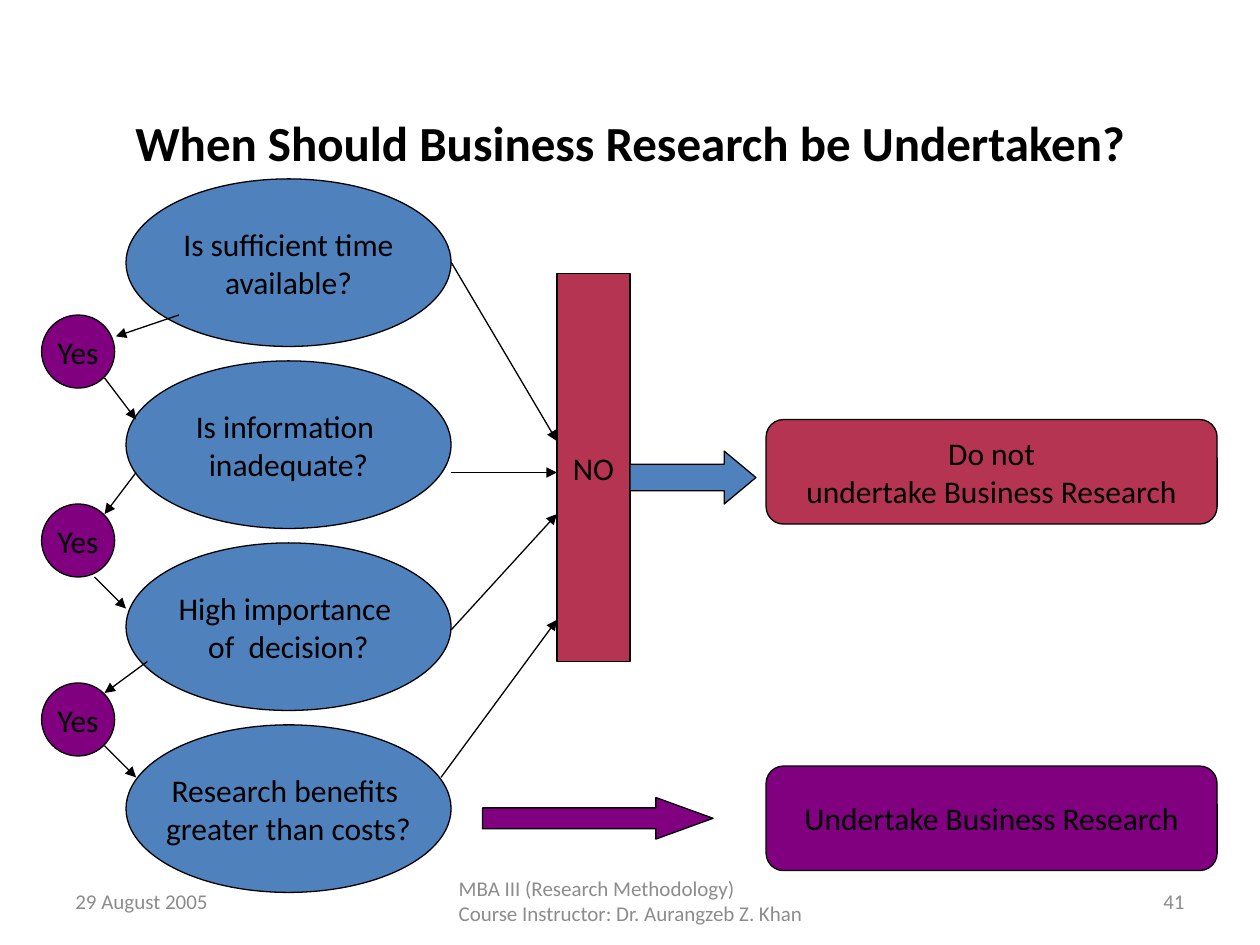
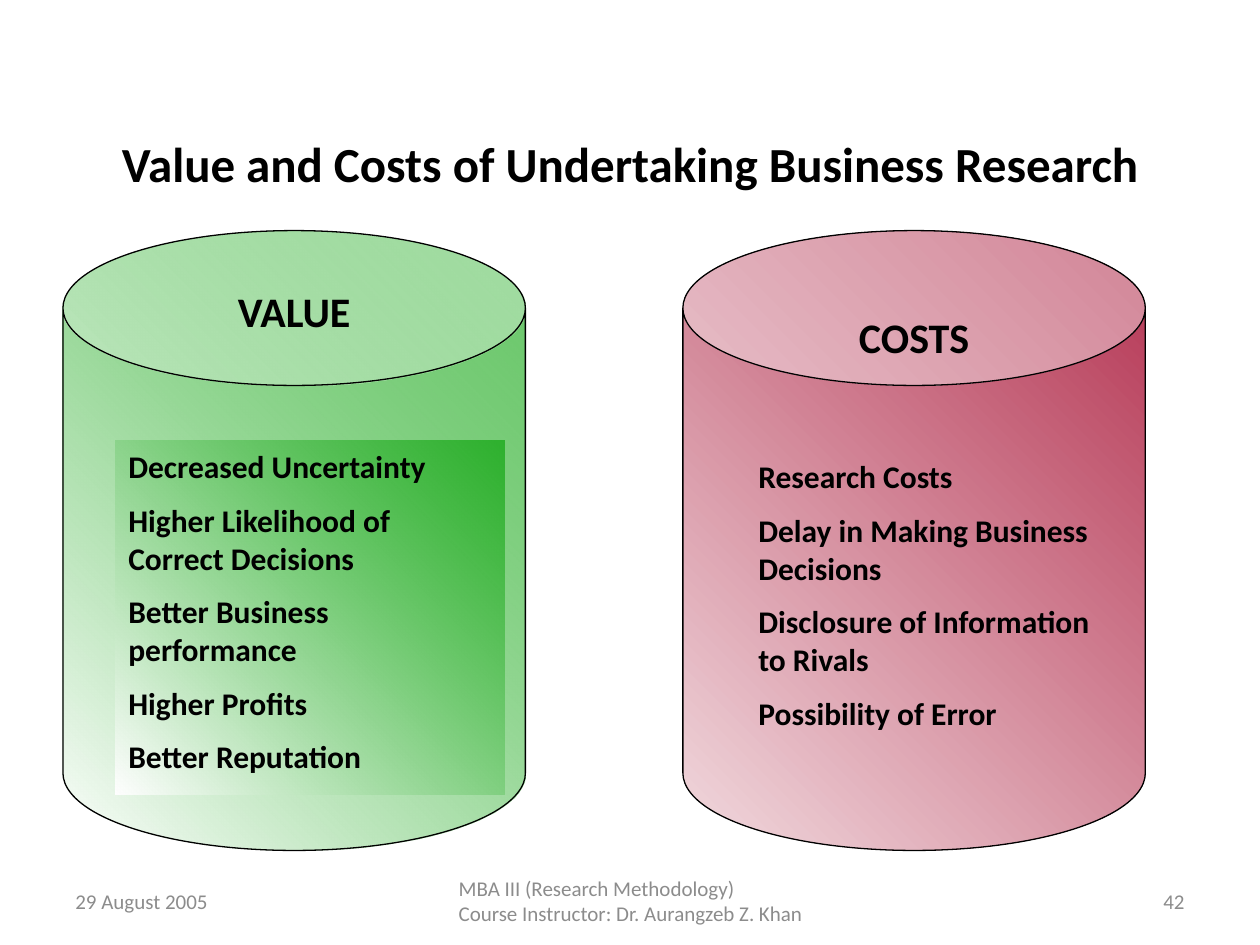
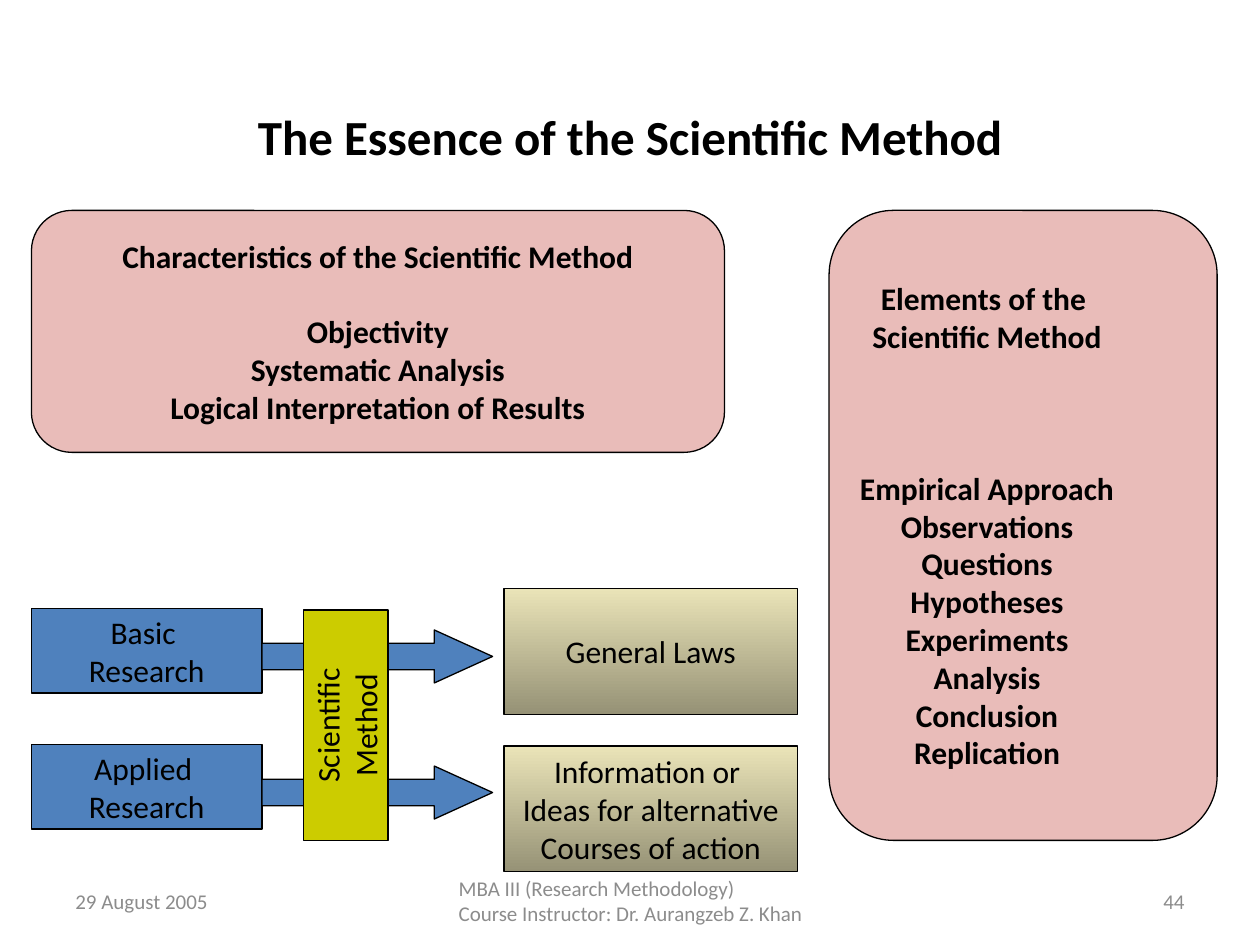
from dataclasses import dataclass, field

from lxml import etree
from pptx import Presentation
from pptx.dml.color import RGBColor
from pptx.enum.shapes import MSO_CONNECTOR, MSO_SHAPE
from pptx.enum.text import MSO_ANCHOR, PP_ALIGN
from pptx.oxml.ns import qn
from pptx.shapes.autoshape import Shape
from pptx.slide import Slide
from pptx.text.text import TextFrame
from pptx.util import Inches, Pt

LEFT, CENTER, RIGHT = PP_ALIGN.LEFT, PP_ALIGN.CENTER, PP_ALIGN.RIGHT
TOP, MIDDLE = MSO_ANCHOR.TOP, MSO_ANCHOR.MIDDLE
RECT, ROUND, OVAL = MSO_SHAPE.RECTANGLE, MSO_SHAPE.ROUNDED_RECTANGLE, MSO_SHAPE.OVAL
ARROW, CAN = MSO_SHAPE.RIGHT_ARROW, MSO_SHAPE.CAN
STRAIGHT = MSO_CONNECTOR.STRAIGHT


@dataclass(frozen=True)
class Gradient:
    start: str
    end: str
    angle: int
    end_alpha: int = 100


@dataclass(frozen=True)
class Theme:
    font: str = "Calibri"
    ink: str = "000000"
    muted: str = "8C8C8C"
    blue: str = "4F81BD"
    purple: str = "800080"
    red: str = "B43452"
    pink: str = "E9BCB9"
    yellow: str = "CCCC00"
    green_fade: Gradient = Gradient("FFFFFF", "00A000", 45, 61)
    red_fade: Gradient = Gradient("F1D9DE", "B43452", 45)
    sand_fade: Gradient = Gradient("EAE4B8", "969276", 270)
    title: int = 28
    heading: int = 24
    body: int = 18
    footer: int = 12
    outline: float = 0.75


T = Theme()
Box = tuple[float, float, float, float]
Point = tuple[float, float]


@dataclass(frozen=True)
class Text:
    lines: tuple[str, ...]
    size: int = T.body
    bold: bool = False
    color: str = T.ink
    align: PP_ALIGN = CENTER
    anchor: MSO_ANCHOR = MIDDLE
    wrap: bool = False
    gaps: dict[int, float] = field(default_factory=dict)


@dataclass(frozen=True)
class Node:
    kind: MSO_SHAPE
    box: Box
    fill: str | Gradient
    text: Text | None = None
    adj: tuple[float, ...] = ()
    outlined: bool = True
    rotation: int = 0


@dataclass(frozen=True)
class Barrel:
    left: float
    fill: Gradient
    heading: str
    heading_top: float


def write(tf: TextFrame, text: Text) -> None:
    tf.word_wrap = text.wrap
    tf.vertical_anchor = text.anchor
    for i, line in enumerate(text.lines):
        p = tf.paragraphs[0] if i == 0 else tf.add_paragraph()
        p.alignment = text.align
        if i in text.gaps:
            p.space_before = Pt(text.gaps[i])
        r = p.add_run()
        r.text = line
        r.font.name = T.font
        r.font.size = Pt(text.size)
        r.font.bold = text.bold
        r.font.color.rgb = RGBColor.from_string(text.color)


def add_text(s: Slide, box: Box, text: Text) -> Shape:
    sp = s.shapes.add_textbox(*map(Inches, box))
    write(sp.text_frame, text)
    return sp


def paint(sp: Shape, fill: str | Gradient) -> None:
    if isinstance(fill, str):
        sp.fill.solid()
        sp.fill.fore_color.rgb = RGBColor.from_string(fill)
        return
    sp.fill.gradient()
    sp.fill.gradient_angle = fill.angle
    for stop, color in zip(sp.fill.gradient_stops, (fill.start, fill.end)):
        stop.color.rgb = RGBColor.from_string(color)
    if fill.end_alpha < 100:
        end = sp._element.spPr.findall(".//" + qn("a:srgbClr"))[-1]
        etree.SubElement(end, qn("a:alpha")).set("val", str(fill.end_alpha * 1000))


def add_node(s: Slide, node: Node) -> Shape:
    sp = s.shapes.add_shape(node.kind, *map(Inches, node.box))
    sp.shadow.inherit = False
    sp.rotation = node.rotation
    for i, value in enumerate(node.adj):
        sp.adjustments[i] = value
    paint(sp, node.fill)
    if node.outlined:
        sp.line.color.rgb = RGBColor.from_string(T.ink)
        sp.line.width = Pt(T.outline)
    else:
        sp.line.fill.background()
    if node.text:
        write(sp.text_frame, node.text)
    return sp


def add_arrow_line(s: Slide, start: Point, end: Point) -> None:
    c = s.shapes.add_connector(STRAIGHT, *map(Inches, start + end))
    c.line.color.rgb = RGBColor.from_string(T.ink)
    c.line.width = Pt(T.outline)
    props = c._element.spPr
    etree.SubElement(props.find(qn("a:ln")), qn("a:tailEnd")).set("type", "triangle")
    etree.SubElement(props, qn("a:effectLst"))


def add_page(prs: Presentation, number: int, title: str, title_box: Box) -> Slide:
    s = prs.slides.add_slide(prs.slide_layouts[6])
    small = {"size": T.footer, "color": T.muted, "wrap": True}
    add_text(s, (0.5, 6.95, 2.33, 0.4), Text(("29 August 2005",), align=LEFT, **small))
    course = ("MBA III (Research Methodology)", "Course Instructor: Dr. Aurangzeb Z. Khan")
    sp = add_text(s, (3.42, 6.95, 3.17, 0.4), Text(course, align=LEFT, **small))
    sp.text_frame.margin_left = Inches(0.22)
    add_text(s, (7.17, 6.95, 2.33, 0.4), Text((str(number),), align=RIGHT, **small))
    add_text(s, title_box, Text((title,), T.title, bold=True, wrap=True))
    return s


def build_decision_flow(prs: Presentation) -> None:
    s = add_page(prs, 41, "When Should Business Research be Undertaken?", (0.25, 0.5, 9.5, 1.25))
    questions = (
        ("Is sufficient time", "available?"),
        ("Is information ", "inadequate?"),
        ("High importance ", "of  decision?"),
        ("Research benefits ", "greater than costs?"),
    )
    for i, lines in enumerate(questions):
        box = (1, 1.42 + i * 13 / 9, 2.58, 1.33)
        add_node(s, Node(OVAL, box, T.blue, Text(lines)))
    for top in (2.5, 4, 5.42):
        add_node(s, Node(OVAL, (0.33, top, 0.58, 0.58), T.purple, Text(("Yes",))))

    outcomes = (
        Node(ROUND, (6.08, 6.08, 3.58, 0.83), T.purple, Text(("Undertake Business Research",))),
        Node(RECT, (4.42, 2.17, 0.58, 3.08), T.red, Text(("NO",))),
        Node(ROUND, (6.08, 3.33, 3.58, 0.83), T.red,
             Text(("Do not", "undertake Business Research"))),
        Node(ARROW, (3.83, 6.33, 1.83, 0.33), T.purple, adj=(0.5, 1.375)),
        Node(ARROW, (5, 3.58, 1, 0.42), T.blue, adj=(0.5, 0.6)),
    )
    for node in outcomes:
        add_node(s, node)

    yes_steps = (
        ((1.42, 2.5), (0.92, 2.67)),
        ((0.83, 3), (1.08, 3.33)),
        ((1.08, 3.75), (0.83, 4.08)),
        ((0.75, 4.58), (1, 4.83)),
        ((1.17, 5.25), (0.83, 5.5)),
        ((0.83, 5.92), (1.08, 6.17)),
    )
    no_steps = (
        ((3.58, 2.08), (4.42, 3.5)),
        ((3.58, 3.75), (4.42, 3.75)),
        ((3.58, 5), (4.42, 4.08)),
        ((3.5, 6.17), (4.42, 4.92)),
    )
    for start, end in yes_steps + no_steps:
        add_arrow_line(s, start, end)


def bullet_text(*lines: str) -> Text:
    gaps = {i: 9 for i in range(1, len(lines))}
    return Text(lines, bold=True, align=LEFT, anchor=TOP, wrap=True, gaps=gaps)


def build_value_and_costs(prs: Presentation) -> None:
    s = add_page(prs, 42, "Value and Costs of Undertaking Business Research", (0.5, 0.67, 9, 1.25))
    barrels = (
        Barrel(0.5, T.green_fade, "VALUE", 2.22),
        Barrel(5.42, T.red_fade, "COSTS", 2.42),
    )
    for b in barrels:
        add_node(s, Node(CAN, (b.left, 1.83, 3.67, 4.92), b.fill, adj=(0.335,)))
        add_text(s, (b.left, b.heading_top, 3.67, 0.5), Text((b.heading,), T.heading, bold=True))

    value = bullet_text(
        "Decreased Uncertainty",
        "Higher Likelihood of Correct Decisions",
        "Better Business performance",
        "Higher Profits ",
        "Better Reputation",
    )
    costs = bullet_text(
        "Research Costs",
        "Delay in Making Business Decisions",
        "Disclosure of Information to Rivals",
        "Possibility of Error",
    )
    add_node(s, Node(RECT, (0.92, 3.5, 3.08, 2.81), T.green_fade, value, outlined=False))
    add_text(s, (5.92, 3.58, 3.08, 2.36), costs)


def build_scientific_method(prs: Presentation) -> None:
    s = add_page(prs, 44, "The Essence of the Scientific Method", (0.5, 0.58, 9, 1))
    characteristics = Text(
        ("Characteristics of the Scientific Method", "Objectivity", "Systematic Analysis",
         "Logical Interpretation of Results"),
        bold=True, gaps={1: 21.5})
    elements = Text(
        ("Elements of the ", "Scientific Method", "Empirical Approach", "Observations",
         "Questions", "Hypotheses", "Experiments", "Analysis", "Conclusion", "Replication"),
        bold=True, gaps={2: 65})
    add_node(s, Node(ROUND, (0.25, 1.67, 5.5, 1.92), T.pink, characteristics))
    sp = add_node(s, Node(ROUND, (6.58, 1.67, 3.08, 5), T.pink, elements))
    sp.text_frame.margin_right = Inches(0.67)

    for i, kind in enumerate(("Basic ", "Applied ")):
        drop = i * 1.08
        add_node(s, Node(RECT, (0.25, 4.83 + drop, 1.83, 0.67), T.blue, Text((kind, "Research"))))
        add_node(s, Node(ARROW, (2.08, 5 + drop, 1.83, 0.42), T.blue, adj=(0.5, 1.1)))
    add_node(s, Node(RECT, (1.83, 5.42, 1.83, 0.67), T.yellow,
                     Text(("Scientific", "Method")), rotation=270))

    results = (
        ("General Laws",),
        ("Information or ", "Ideas for alternative", "Courses of action"),
    )
    for i, lines in enumerate(results):
        add_node(s, Node(RECT, (4, 4.67 + i * 1.25, 2.33, 1), T.sand_fade, Text(lines)))


prs = Presentation()
prs.slide_width, prs.slide_height = Inches(10), Inches(7.5)
build_decision_flow(prs)
build_value_and_costs(prs)
build_scientific_method(prs)
prs.save("out.pptx")
